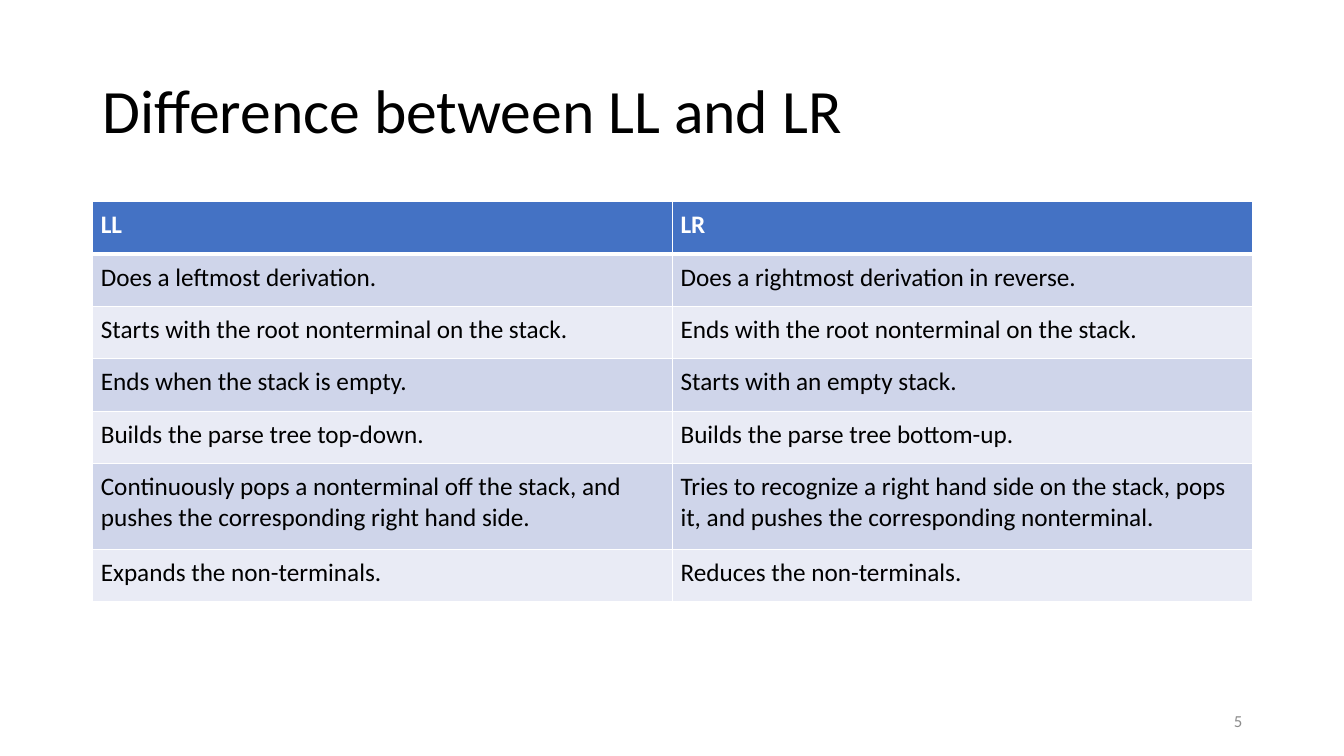
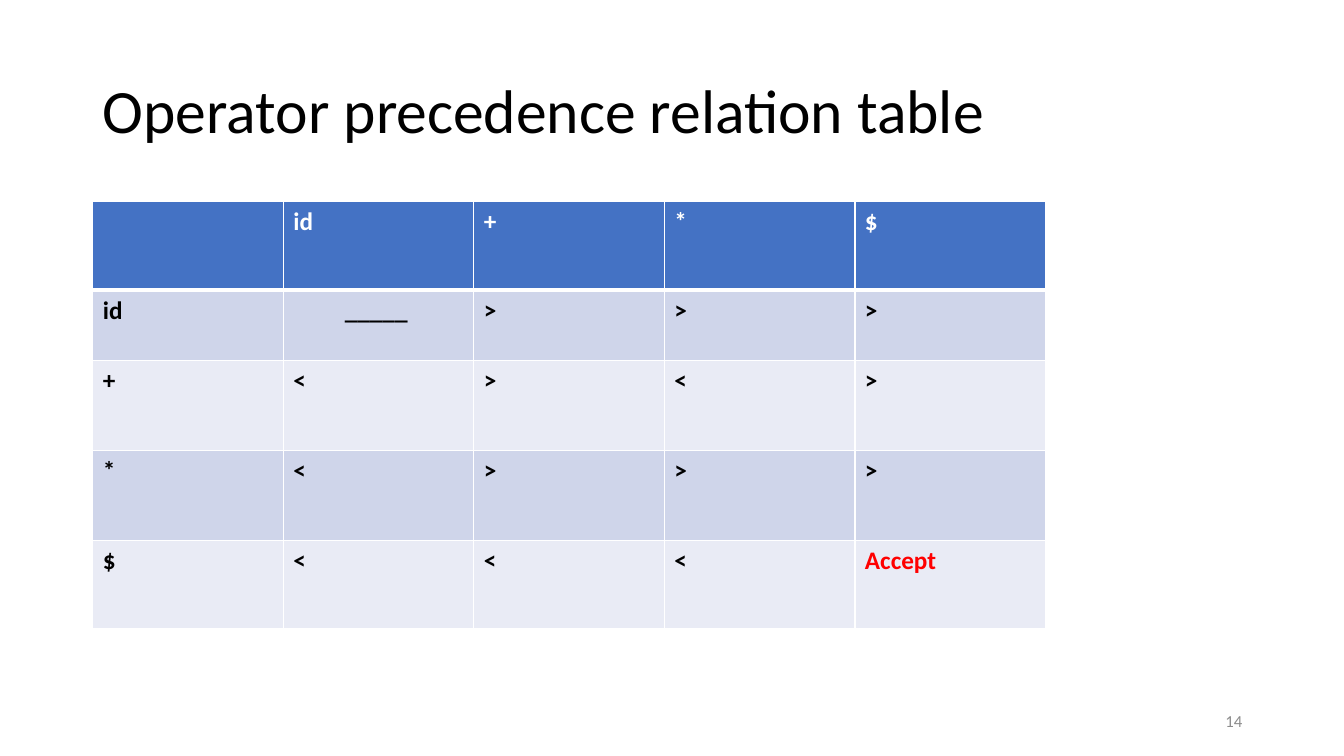
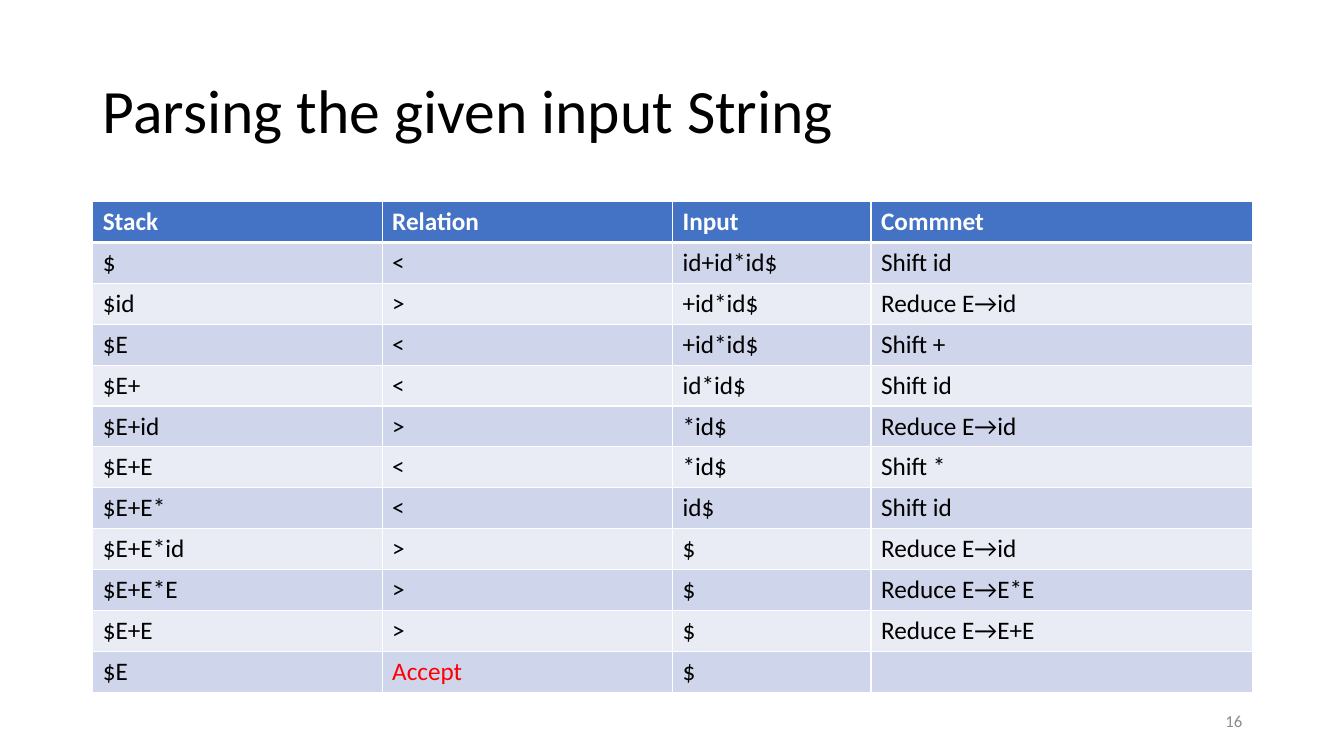
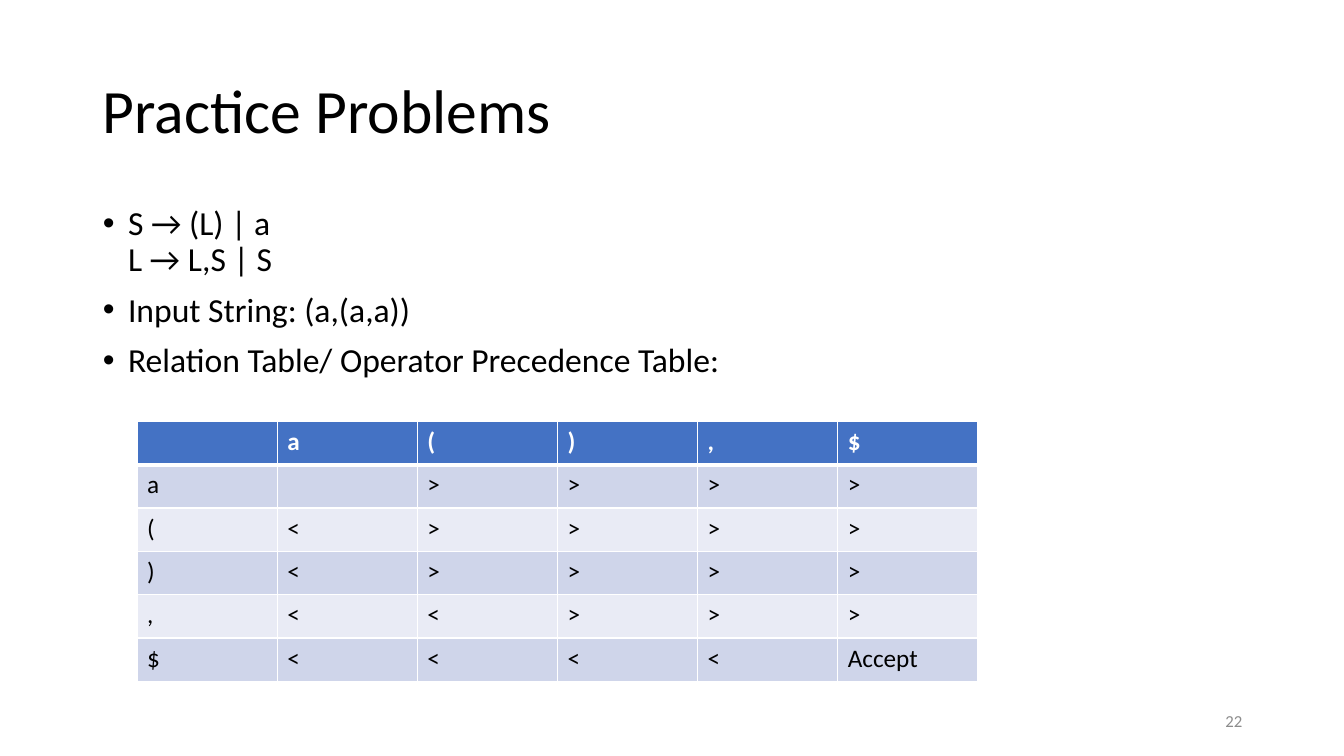
from lxml import etree
from pptx import Presentation
from pptx.dml.color import RGBColor
from pptx.enum.text import MSO_ANCHOR, MSO_AUTO_SIZE, PP_ALIGN
from pptx.oxml.ns import qn
from pptx.util import Pt

PX = 9144  # EMU per px, 100 px to the inch
FONT = "Calibri"
BLACK = RGBColor(0x00, 0x00, 0x00)
WHITE = RGBColor(0xFF, 0xFF, 0xFF)
GRAY = RGBColor(0x8C, 0x8C, 0x8C)
RED = RGBColor(0xFF, 0x00, 0x00)
BLUE = RGBColor(0x44, 0x72, 0xC4)
BANDS = (RGBColor(0xE9, 0xEB, 0xF5), RGBColor(0xCF, 0xD5, 0xEA))
LEFT, RIGHT = PP_ALIGN.LEFT, PP_ALIGN.RIGHT
TOP, MIDDLE = MSO_ANCHOR.TOP, MSO_ANCHOR.MIDDLE
FIXED = MSO_AUTO_SIZE.NONE

# Shared places: left, top, width, height
TITLE = (92, 40, 1150, 145)
BODY = (92, 200, 1150, 476)
NUMBER = (942, 695, 300, 40)
DASH = "_____"

# Content
SLIDES = [
    dict(
        title="Difference between LL and LR", number=5,
        table=dict(
            at=(92, 200), cols=[575] * 2, rows=[52] * 5 + [85, 52],
            inset=(8, 8),
            cells=[
                ("LL", "LR"),
                ("Does a leftmost derivation.",
                 "Does a rightmost derivation in reverse."),
                ("Starts with the root nonterminal on the stack.",
                 "Ends with the root nonterminal on the stack."),
                ("Ends when the stack is empty.",
                 "Starts with an empty stack."),
                ("Builds the parse tree top-down.",
                 "Builds the parse tree bottom-up."),
                ("Continuously pops a nonterminal off the stack, and "
                 "pushes the corresponding right hand side.",
                 "Tries to recognize a right hand side on the stack, pops "
                 "it, and pushes the corresponding nonterminal."),
                ("Expands the non-terminals.",
                 "Reduces the non-terminals."),
            ])),
    dict(
        title="Operator precedence relation table", number=14,
        table=dict(
            at=(92, 200), cols=[189] * 5, rows=[88, 70, 89, 89, 88],
            bold=True, accept=RED,
            cells=[
                ("", "id", "+", "*", "$"),
                ("id", DASH, ">", ">", ">"),
                ("+", "<", ">", "<", ">"),
                ("*", "<", ">", ">", ">"),
                ("$", "<", "<", "<", "Accept"),
            ])),
    dict(
        title="Parsing the given input String", number=16,
        table=dict(
            at=(92, 200), cols=[287, 288, 197, 378], rows=[487 / 12] * 12,
            accept=RED,
            cells=[
                ("Stack", "Relation", "Input", "Commnet"),
                ("$", "<", "id+id*id$", "Shift id"),
                ("$id", ">", "+id*id$", "Reduce E→id"),
                ("$E", "<", "+id*id$", "Shift +"),
                ("$E+", "<", "id*id$", "Shift id"),
                ("$E+id", ">", "*id$", "Reduce E→id"),
                ("$E+E", "<", "*id$", "Shift *"),
                ("$E+E*", "<", "id$", "Shift id"),
                ("$E+E*id", ">", "$", "Reduce E→id"),
                ("$E+E*E", ">", "$", "Reduce E→E*E"),
                ("$E+E", ">", "$", "Reduce E→E+E"),
                ("$E", "Accept", "$", ""),
            ])),
    dict(
        title="Practice Problems", number=22,
        points=["S → (L) | a\nL → L,S | S",
                "Input String: (a,(a,a))",
                "Relation Table/ Operator Precedence Table:"],
        table=dict(
            at=(136, 418), cols=[139] * 6, rows=[43] * 6,
            cells=[
                ("", "a", "(", ")", ",", "$"),
                ("a", "", ">", ">", ">", ">"),
                ("(", "<", ">", ">", ">", ">"),
                (")", "<", ">", ">", ">", ">"),
                (",", "<", "<", ">", ">", ">"),
                ("$", "<", "<", "<", "<", "Accept"),
            ])),
]


def emu(*px):
    return [round(n * PX) for n in px]


def place(shape, at):
    shape.left, shape.top, shape.width, shape.height = emu(*at)


def write(frame, *lines, size=18, color=BLACK, bold=False, align=LEFT,
          anchor=TOP, space=1.0, before=0, bullet=False):
    """Fill a text frame, one paragraph to a line."""
    frame.word_wrap = True
    frame.vertical_anchor = anchor
    for i, line in enumerate(lines):
        para = frame.add_paragraph() if i else frame.paragraphs[0]
        para.text = line
        para.alignment = align
        para.line_spacing = space
        para.space_before = Pt(before if i else 0)
        if bullet:
            props = para._p.get_or_add_pPr()
            props.set("marL", str(25 * PX))
            props.set("indent", str(-25 * PX))
            etree.SubElement(props, qn("a:buFont"), typeface="Arial")
            etree.SubElement(props, qn("a:buChar"), char="•")
        for run in para.runs:
            font = run.font
            font.name, font.size, font.bold = FONT, Pt(size), bold
            font.color.rgb = color
        for gap in para._p.findall(qn("a:br")):
            etree.SubElement(gap, qn("a:rPr"), sz=str(size * 100))


def edge(cell, **widths):
    """Draw white cell borders; widths in points by side."""
    props = cell._tc.get_or_add_tcPr()
    for side, width in widths.items():
        line = etree.SubElement(props, qn("a:ln" + side), w=str(Pt(width)))
        fill = etree.SubElement(line, qn("a:solidFill"))
        etree.SubElement(fill, qn("a:srgbClr"), val=str(WHITE))


def add_grid(slide, at, cols, rows, cells, inset=(10, 5), bold=False,
             accept=BLACK):
    box = emu(*at, sum(cols), sum(rows))
    grid = slide.shapes.add_table(len(rows), len(cols), *box).table
    for col, width in zip(grid.columns, emu(*cols)):
        col.width = width
    for row, height in zip(grid.rows, emu(*rows)):
        row.height = height
    side, end = emu(*inset)
    for r, line in enumerate(cells):
        head = r == 0
        for c, text in enumerate(line):
            cell = grid.cell(r, c)
            edge(cell, L=1, R=1, T=3 if r == 1 else 1, B=3 if head else 1)
            cell.fill.solid()
            cell.fill.fore_color.rgb = BLUE if head else BANDS[r % 2]
            cell.margin_left = cell.margin_right = side
            cell.margin_top = cell.margin_bottom = end
            if text == DASH:
                cell.margin_left = 61 * PX
            if text:
                color = accept if text == "Accept" else BLACK
                write(cell.text_frame, text, bold=head or bold,
                      color=WHITE if head else color)


def add_slide(deck, title, number, table, points=()):
    # Title
    slide = deck.slides.add_slide(deck.slide_layouts[1 if points else 5])
    head = slide.shapes.title
    place(head, TITLE)
    head.text_frame.auto_size = FIXED
    write(head.text_frame, title, size=44, anchor=MIDDLE, space=0.9)
    # Bullets
    if points:
        body = slide.placeholders[1]
        place(body, BODY)
        body.text_frame.auto_size = FIXED
        write(body.text_frame, *points, size=24, space=0.9, before=10,
              bullet=True)
    # Slide number
    box = slide.shapes.add_textbox(*emu(*NUMBER))
    write(box.text_frame, str(number), size=12, color=GRAY, align=RIGHT,
          anchor=MIDDLE)
    # Table
    add_grid(slide, **table)


def main():
    deck = Presentation()
    deck.slide_width, deck.slide_height = emu(1333, 750)
    for item in SLIDES:
        add_slide(deck, **item)
    deck.save("out.pptx")


if __name__ == "__main__":
    main()
